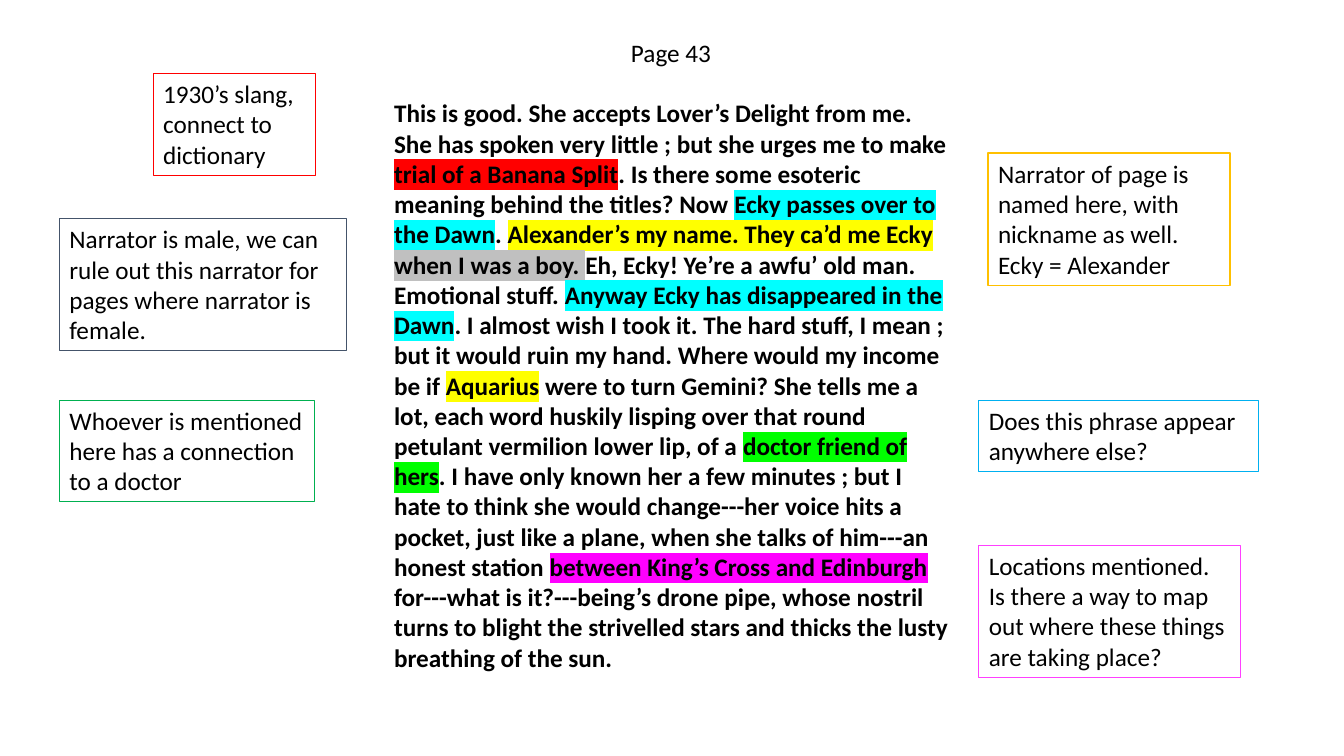
from lxml.etree import SubElement
from pptx import Presentation
from pptx.dml.color import RGBColor
from pptx.enum.shapes import MSO_SHAPE
from pptx.enum.text import MSO_ANCHOR, PP_ALIGN
from pptx.oxml.ns import qn
from pptx.util import Inches, Pt

WIDTH, HEIGHT = Inches(13.33), Inches(7.5)
LINE_SHARE, PADDING_SHARE = 4, 1.47

BLACK = RGBColor(0x00, 0x00, 0x00)
WHITE = RGBColor(0xFF, 0xFF, 0xFF)
RED = RGBColor(0xFF, 0x00, 0x00)
CYAN = RGBColor(0x00, 0xFF, 0xFF)
YELLOW = RGBColor(0xFF, 0xFF, 0x00)
SILVER = RGBColor(0xC0, 0xC0, 0xC0)
LIME = RGBColor(0x00, 0xFF, 0x00)
MAGENTA = RGBColor(0xFF, 0x00, 0xFF)
GOLD = RGBColor(0xFF, 0xC0, 0x00)
BLUE = RGBColor(0x00, 0xB0, 0xF0)
GREEN = RGBColor(0x00, 0xB0, 0x50)
PINK = RGBColor(0xFF, 0x40, 0xFF)
SLATE = RGBColor(0x44, 0x54, 0x6A)

FRAME = {"word_wrap": True, "vertical_anchor": MSO_ANCHOR.TOP}
FONT = {"name": "Calibri", "size": Pt(18), "bold": False}

PASSAGE = [
    ("This is good. She accepts Lover’s Delight from me. She has spoken very little ; "
     "but she urges me to make ", None),
    ("trial of a Banana Split", RED),
    (". Is there some esoteric meaning behind the titles? Now ", None),
    ("Ecky passes over to the Dawn", CYAN),
    (". ", None),
    ("Alexander’s my name. They ca’d me Ecky ", YELLOW),
    ("when I was a boy. ", SILVER),
    ("Eh, Ecky! Ye’re a awfu’ old man. Emotional stuff. ", None),
    ("Anyway Ecky has disappeared in the Dawn", CYAN),
    (". I almost wish I took it. The hard stuff, I mean ; but it would ruin my hand. "
     "Where would my income be if ", None),
    ("Aquarius", YELLOW),
    (" were to turn Gemini? She tells me a lot, each word huskily lisping over that "
     "round petulant vermilion lower lip, of a ", None),
    ("doctor friend of hers", LIME),
    (". I have only known her a few minutes ; but I hate to think she would change---her "
     "voice hits a pocket, just like a plane, when she talks of him---an honest station ", None),
    ("between King’s Cross and Edinburgh", MAGENTA),
    (" for---what is it?---being’s drone pipe, whose nostril turns to blight the "
     "strivelled stars and thicks the lusty breathing of the sun.", None),
]

# left, top, width (percent of slide), lines, outline, points, fill, text
NOTES = [
    (11.4, 9.73, 12.08, 3, RED, 0.75, None, "1930’s slang, connect to dictionary"),
    (73.52, 20.27, 18, 4, GOLD, 1, WHITE,
     "Narrator of page is named here, with nickname as well. Ecky = Alexander"),
    (72.84, 52.93, 20.78, 2, BLUE, 0.75, None, "Does this phrase appear anywhere else?"),
    (4.43, 52.93, 18.98, 3, GREEN, 0.75, None,
     "Whoever is mentioned here has a connection to a doctor"),
    (72.84, 72.13, 19.43, 4, PINK, 0.75, None,
     "Locations mentioned. Is there a way to map out where these things are taking place?"),
    (4.43, 28.93, 21.38, 4, SLATE, 0.75, None,
     "Narrator is male, we can rule out this narrator for pages where narrator is female."),
]


def share(left, top, width, height):
    return (int(WIDTH * left / 100), int(HEIGHT * top / 100),
            int(WIDTH * width / 100), int(HEIGHT * height / 100))


def apply(target, formats):
    for name, value in formats.items():
        setattr(target, name, value)


def highlight(r, color):
    mark = SubElement(r.font._element, qn("a:highlight"))
    SubElement(mark, qn("a:srgbClr"), val=str(color))
    r.font._element.find(qn("a:solidFill")).addnext(mark)


def write(sp, runs, frame={}, font={}):
    tf = sp.text_frame
    apply(tf, FRAME | frame)
    p = tf.paragraphs[0]
    p.alignment = PP_ALIGN.LEFT
    for text, color in runs:
        r = p.add_run()
        r.text = text
        apply(r.font, FONT | font)
        r.font.color.rgb = BLACK
        if color is not None:
            highlight(r, color)


def add_heading(s, box):
    write(s.shapes.add_textbox(*box), [("Page 43", None)], frame={"word_wrap": False})


def add_passage(s, box):
    write(s.shapes.add_textbox(*box), PASSAGE, font={"bold": True})


def add_note(s, box, outline, points, fill, text):
    sp = s.shapes.add_shape(MSO_SHAPE.RECTANGLE, *box)
    sp.shadow.inherit = False
    if fill is None:
        sp.fill.background()
    else:
        sp.fill.solid()
        sp.fill.fore_color.rgb = fill
    sp.line.color.rgb = outline
    sp.line.width = Pt(points)
    write(sp, [(text, None)])


def main():
    prs = Presentation()
    apply(prs, {"slide_width": WIDTH, "slide_height": HEIGHT})
    s = prs.slides.add_slide(prs.slide_layouts[6])
    add_passage(s, share(28.58, 12.27, 42.84, 78.13))
    add_heading(s, share(46.21, 4.27, 7.5, 5.33))
    for left, top, width, lines, *style in NOTES:
        height = lines * LINE_SHARE + PADDING_SHARE
        add_note(s, share(left, top, width, height), *style)
    prs.save("out.pptx")


if __name__ == "__main__":
    main()
